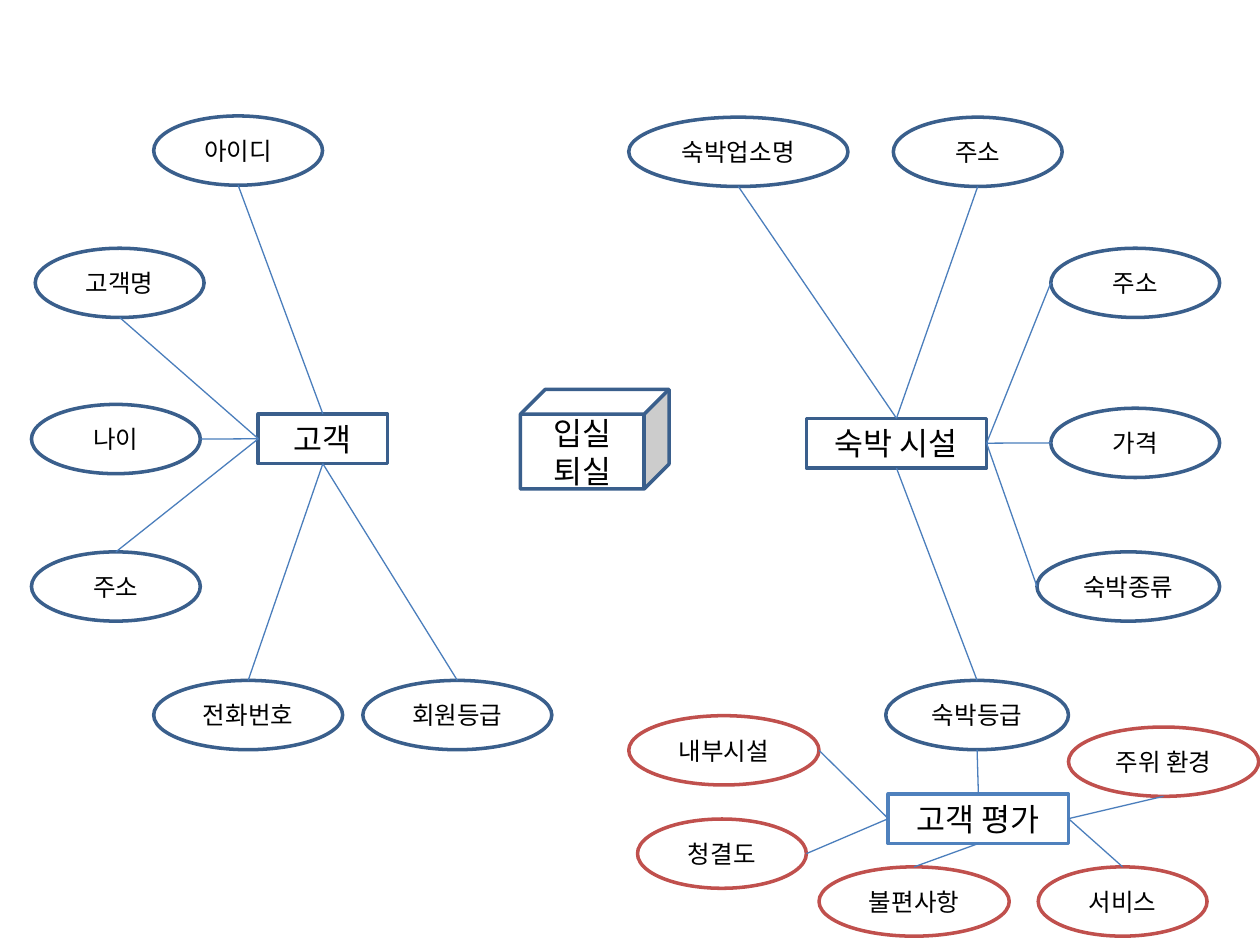
from lxml import etree
from pptx import Presentation
from pptx import util as u
from pptx.dml.color import RGBColor
from pptx.enum import shapes, text
from pptx.oxml.ns import qn

HUES = {"paper": "FFFFFF", "ink": "000000", "navy": "3A5F8C",
        "blue": "4F81BD", "red": "C0504D", "link": "4B7EBC"}
FONT = "Noto Sans CJK KR"

# Grid of 100 columns by 75 rows
COLS, ROWS = 100, 75
WIDE, HIGH = u.Inches(10), u.Inches(7.5)
OVAL_H, BOX_H = 5.5, 3.95
KINDS = shapes.MSO_SHAPE

# Entities: key, label, kind, left, top, width, height, line hue
ENTITIES = [
    ("guest", "고객", KINDS.RECTANGLE, 20.5, 32.85, 10.25, BOX_H, "navy"),
    ("lodge", "숙박 시설", KINDS.RECTANGLE, 64, 33.2, 14.3, BOX_H, "navy"),
    ("stay", "입실 퇴실", KINDS.CUBE, 41.3, 30.9, 11.8, 7.9, "navy"),
    ("review", "고객 평가", KINDS.RECTANGLE, 70.5, 63, 14.3, BOX_H, "blue"),
]

# Attributes: label, left, top, width, side of the oval, owner, owner side
GUEST = [
    ("아이디", 12.2, 9.2, 13.4, "bottom", "guest", "top"),
    ("고객명", 2.8, 19.7, 13.4, "bottom", "guest", "left"),
    ("나이", 2.5, 32.1, 13.4, "right", "guest", "left"),
    ("주소", 2.5, 43.8, 13.4, "top", "guest", "left"),
    ("전화번호", 12.2, 54, 15, "top", "guest", "bottom"),
    ("회원등급", 28.8, 54, 15, "top", "guest", "bottom"),
]
LODGE = [
    ("숙박업소명", 49.9, 9.3, 17.4, "bottom", "lodge", "top"),
    ("주소", 70.9, 9.3, 13.4, "bottom", "lodge", "top"),
    ("주소", 83.4, 19.7, 13.4, "left", "lodge", "right"),
    ("가격", 83.4, 32.4, 13.4, "left", "lodge", "right"),
    ("숙박종류", 82.3, 43.8, 14.5, "left", "lodge", "right"),
    ("숙박등급", 70.3, 54, 14.5, "top", "lodge", "bottom"),
]
REVIEW = [
    ("청결도", 50.6, 65, 13.4, "right", "review", "left"),
    ("내부시설", 49.9, 56.8, 15.1, "right", "review", "left"),
    ("불편사항", 65, 68.8, 15.1, "top", "review", "bottom"),
    ("서비스", 82.4, 68.8, 13.4, "top", "review", "right"),
    ("주위 환경", 84.8, 57.7, 15.1, "bottom", "review", "right"),
]
SIDES = {"top": (0.5, 0), "bottom": (0.5, 1), "left": (0, 0.5), "right": (1, 0.5)}


def col(n):
    return round(WIDE * n / COLS)


def row(n):
    return round(HIGH * n / ROWS)


def tint(name):
    return RGBColor.from_string(HUES[name])


def add_run(para, label, size):
    run = para.add_run()
    run.text = label
    run.font.size = u.Pt(size)
    run.font.color.rgb = tint("ink")
    run.font.name = FONT
    east = etree.SubElement(run.font._element, qn("a:ea"))
    east.set("typeface", FONT)


def add_node(slide, label, kind, left, top, wide, high, hue, size):
    node = slide.shapes.add_shape(kind, col(left), row(top), col(wide), row(high))
    node.shadow.inherit = False
    node.fill.solid()
    node.fill.fore_color.rgb = tint("paper")
    node.line.color.rgb = tint(hue)
    node.line.width = u.Pt(2)
    frame = node.text_frame
    frame.word_wrap = True
    frame.vertical_anchor = text.MSO_ANCHOR.MIDDLE
    para = frame.paragraphs[0]
    para.alignment = text.PP_ALIGN.CENTER
    add_run(para, label, size)
    return node


def spot(node, side):
    across, down = SIDES[side]
    return (round(node.left + node.width * across),
            round(node.top + node.height * down))


def add_link(slide, start, end):
    link = slide.shapes.add_connector(shapes.MSO_CONNECTOR.STRAIGHT, *start, *end)
    link.line.color.rgb = tint("link")
    link.line.width = u.Pt(0.75)
    etree.SubElement(link._element.spPr, qn("a:effectLst"))


def main():
    deck = Presentation()
    deck.slide_width, deck.slide_height = WIDE, HIGH
    slide = deck.slides.add_slide(deck.slide_layouts[6])

    # Entities
    nodes = {}
    for key, *form in ENTITIES:
        nodes[key] = add_node(slide, *form, 18)

    # Attribute ovals
    links = []
    for group, hue in ((GUEST, "navy"), (LODGE, "navy"), (REVIEW, "red")):
        for label, left, top, wide, side, owner, edge in group:
            oval = add_node(slide, label, KINDS.OVAL, left, top, wide, OVAL_H, hue, 14)
            links.append((spot(oval, side), spot(nodes[owner], edge)))
            if label == "숙박등급":
                links.append((spot(nodes["review"], "top"), spot(oval, "bottom")))

    # Links lie above the nodes
    for start, end in links:
        add_link(slide, start, end)

    deck.save("out.pptx")


main()
